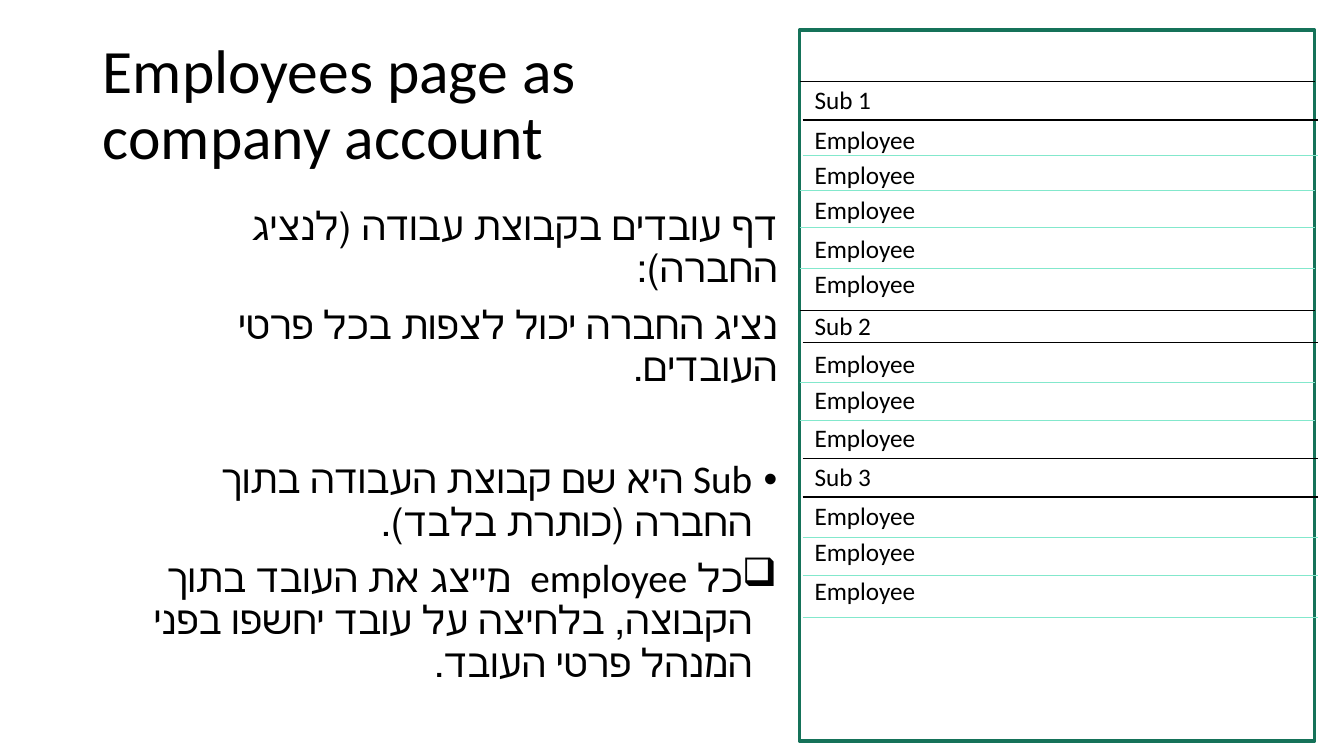
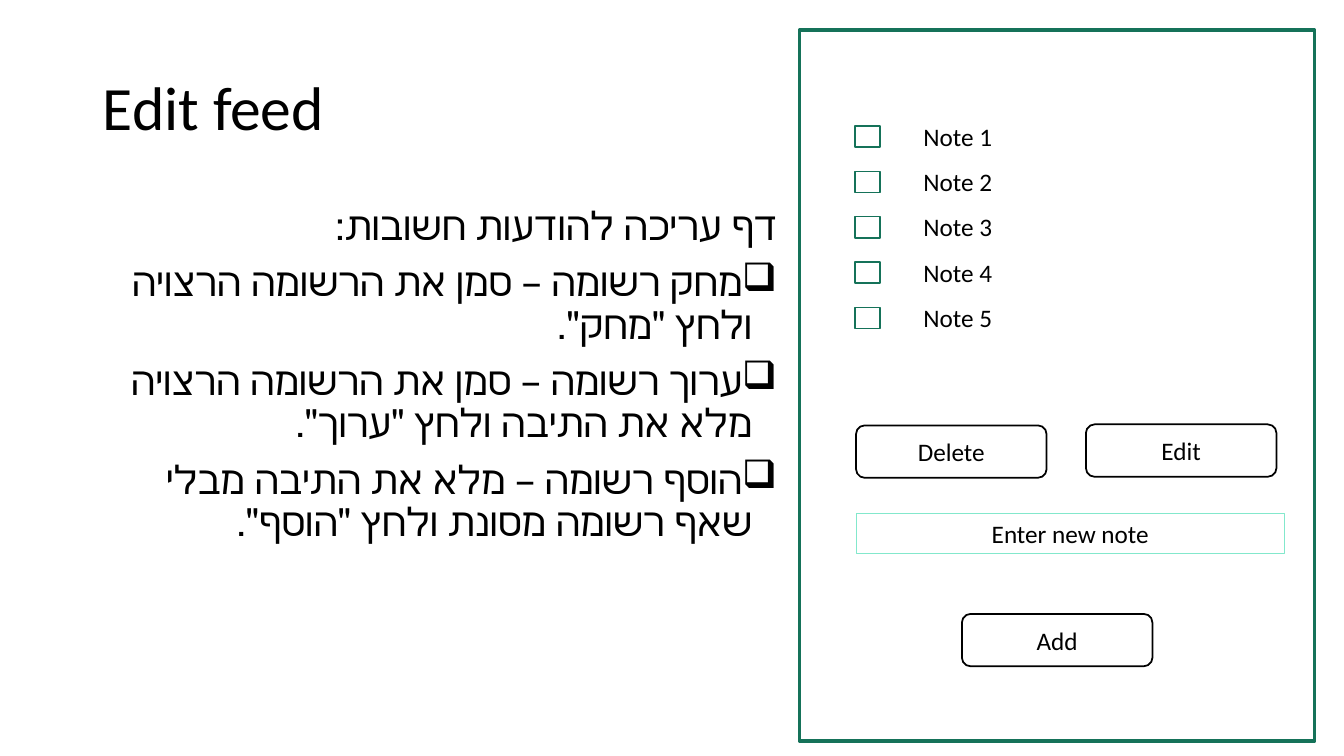
from lxml import etree
from pptx import Presentation
from pptx.dml.color import RGBColor
from pptx.enum.shapes import MSO_CONNECTOR, MSO_SHAPE
from pptx.enum.text import MSO_ANCHOR, MSO_AUTO_SIZE, PP_ALIGN
from pptx.oxml.ns import qn
from pptx.util import Inches, Pt

RECT, ROUND = MSO_SHAPE.RECTANGLE, MSO_SHAPE.ROUNDED_RECTANGLE
STRAIGHT = MSO_CONNECTOR.STRAIGHT
LEFT, CENTER, RIGHT = PP_ALIGN.LEFT, PP_ALIGN.CENTER, PP_ALIGN.RIGHT
TOP, MIDDLE = MSO_ANCHOR.TOP, MSO_ANCHOR.MIDDLE
NO_FIT = MSO_AUTO_SIZE.NONE

BLACK, GREEN, MINT = "000000", "157259", "83E8CC"
FONT = "Calibri"
TITLE = {"size": Pt(44), "name": FONT, "bold": False}
BODY = {"size": Pt(28), "name": FONT}
LABEL = {"size": Pt(18), "name": FONT}
BODY_SPACING = {"alignment": RIGHT, "line_spacing": 0.9, "space_after": Pt(0)}
BULLETS = {"dot": ("Arial", "•"), "box": ("Wingdings", "q")}


def style(item, values, color=None):
    for name, value in values.items():
        setattr(item, name, value)
    if color:
        item.color.rgb = RGBColor.from_string(color)


def box(s, kind, x, y, w, h, line=None, width=1, text="", align=CENTER):
    place = [Inches(v) for v in (x, y, w, h)]
    if kind is None:
        sp = s.shapes.add_textbox(*place)
    else:
        sp = s.shapes.add_shape(kind, *place)
        sp.shadow.inherit = False
        sp.fill.background()
        style(sp.line, {"width": Pt(width)}, line)
    if text:
        tf = sp.text_frame
        style(tf, {"word_wrap": True, "vertical_anchor": TOP if kind is None else MIDDLE})
        p = tf.paragraphs[0]
        p.alignment = align
        r = p.add_run()
        r.text = text
        style(r.font, LABEL, BLACK)


prs = Presentation()
prs.slide_width, prs.slide_height = Inches(13.33), Inches(7.5)

pages = [
    ("Employees page as \vcompany account", (0.92, 0.33, 5.26, 1.45), [
        (None, 10, "דף עובדים בקבוצת עבודה (לנציג החברה):"),
        (None, 10, "נציג החברה יכול לצפות בכל פרטי העובדים."),
        ("dot", 50, "Sub היא שם קבוצת העבודה בתוך החברה (כותרת בלבד)."),
        ("box", 10, "כל employee  מייצג את העובד בתוך הקבוצה, "
                    "בלחיצה על עובד יחשפו בפני המנהל פרטי העובד."),
    ]),
    ("Edit feed", (0.92, 0.37, 11.5, 1.45), [
        (None, 10, "דף עריכה להודעות חשובות:"),
        ("box", 10, 'מחק רשומה – סמן את הרשומה הרצויה ולחץ "מחק".'),
        ("box", 10, 'ערוך רשומה – סמן את הרשומה הרצויה מלא את התיבה ולחץ "ערוך".'),
        ("box", 10, 'הוסף רשומה – מלא את התיבה מבלי שאף רשומה מסונת ולחץ "הוסף".'),
    ]),
]

slides = []
for title, title_box, items in pages:
    s = prs.slides.add_slide(prs.slide_layouts[1])
    slides.append(s)
    body = s.placeholders[1]
    for sp, place, anchor in ((s.shapes.title, title_box, MIDDLE),
                              (body, (0.92, 2, 6.89, 4.81), TOP)):
        sp.left, sp.top, sp.width, sp.height = [Inches(v) for v in place]
        style(sp.text_frame, {"word_wrap": True, "auto_size": NO_FIT, "vertical_anchor": anchor})

    p = s.shapes.title.text_frame.paragraphs[0]
    p.text = title
    style(p, {"alignment": LEFT, "line_spacing": 0.9})
    for r in p.runs:
        style(r.font, TITLE, BLACK)

    tf = body.text_frame
    for i, (bullet, before, text) in enumerate(items):
        p = tf.paragraphs[0] if i == 0 else tf.add_paragraph()
        style(p, BODY_SPACING)
        p.space_before = Pt(before)
        r = p.add_run()
        r.text = text
        style(r.font, BODY, BLACK)
        indent = Inches(0.25) if bullet else 0
        pPr = p._p.get_or_add_pPr()
        for name, value in {"marL": indent, "indent": -indent, "rtl": 1}.items():
            pPr.set(name, str(value))
        if bullet:
            typeface, char = BULLETS[bullet]
            etree.SubElement(pPr, qn("a:buFont")).set("typeface", typeface)
            etree.SubElement(pPr, qn("a:buChar")).set("char", char)
        else:
            etree.SubElement(pPr, qn("a:buNone"))
    box(s, RECT, 7.93, 0.3, 5.11, 7.05, GREEN, 2.5)

employees, feed = slides

rows = []
for group, count in enumerate((5, 3, 3), 1):
    rows += [f"Sub {group}"] + ["Employee"] * count
row_tops = [0.79, 1.18, 1.53, 1.88, 2.27, 2.61, 3.03,
            3.41, 3.76, 4.14, 4.53, 4.91, 5.27, 5.66]
rules = [0.81, 1.19, 1.54, 1.89, 2.26, 2.66, 3.08, 3.4,
         3.79, 4.17, 4.55, 4.93, 5.33, 5.71, 6.12]
inset_rules = {1.19, 1.54, 3.4, 4.55, 4.93, 5.33, 5.71, 6.12}

for i, y in enumerate(rules):
    x = 7.96 if y in inset_rules else 7.93
    heading = any(row.startswith("Sub") for row in rows[max(i - 1, 0):i + 1])
    line = employees.shapes.add_connector(
        STRAIGHT, Inches(x), Inches(y), Inches(x + 5.11), Inches(y))
    style(line.line, {"width": Pt(1 if heading else 0.5)}, BLACK if heading else MINT)
    etree.SubElement(line._element.spPr, qn("a:effectLst"))

for row, y in zip(rows, row_tops):
    box(employees, None, 7.98, y, 5.09, 0.4, text=row, align=LEFT)

for i in range(5):
    y = 1.25 + 0.45 * i
    box(feed, RECT, 8.48, y, 0.25, 0.21, GREEN)
    box(feed, None, 9.06, y - 0.1, 2.71, 0.4, text=f"Note {i + 1}", align=LEFT)

for text, x, y in (("Delete", 8.49, 4.22), ("Edit", 10.77, 4.21), ("Add", 9.54, 6.09)):
    box(feed, ROUND, x, y, 1.89, 0.52, BLACK, 1.25, text)
box(feed, RECT, 8.49, 5.09, 4.25, 0.4, MINT, 0.75, "Enter new note")

prs.save("out.pptx")
